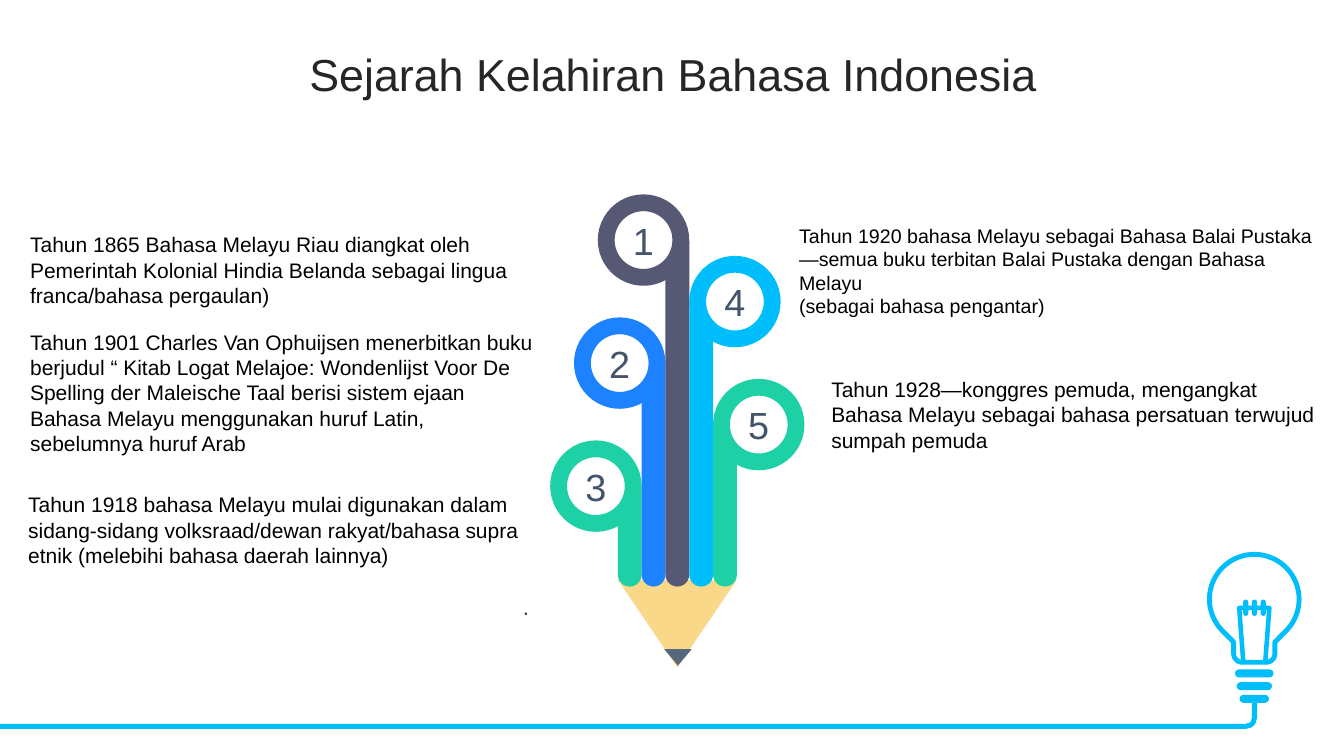
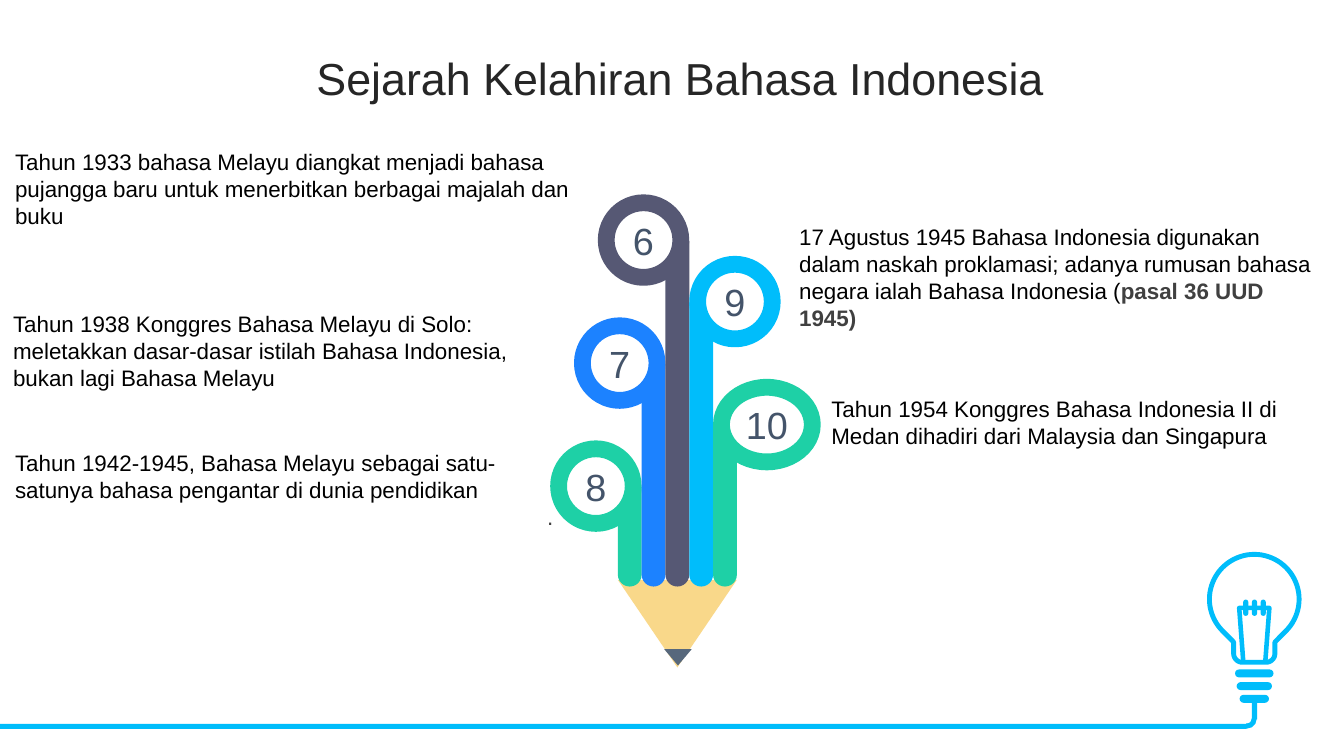
from math import cos, radians, sin

from lxml.etree import SubElement
from pptx import Presentation
from pptx.dml.color import RGBColor
from pptx.enum.shapes import MSO_SHAPE
from pptx.enum.text import MSO_ANCHOR, PP_ALIGN
from pptx.oxml.ns import qn
from pptx.util import Cm, Pt

COLORS = {
    "white": "FFFFFF", "black": "000000", "title": "262626", "soft": "404040",
    "number": "44546A", "cyan": "00BDFB", "blue": "1C82FF", "green": "1ED0A6",
    "slate": "565874", "wood": "F5B317", "lead": "57687C",
}
TITLE = {"size": 32, "color": "title"}
NUMBER = {"size": 27, "color": "number"}
DOT = {"size": 16, "color": "soft"}

# Pencil strips from left to right: color, top, side of the ring, order of the number
STRIPS = [
    ("green", 12.27, "left", 3), ("blue", 9.17, "left", 2), ("slate", 6.07, "left", 1),
    ("cyan", 7.62, "right", 4), ("green", 10.72, "right", 5),
]
STRIP_LEFT, STRIP_WIDTH, STRIP_BOTTOM = 15.57, 0.6, 14.78
RING_SIZE, RING_STROKE = 1.88, 12
BULB_X, BULB_Y, BULB_RADIUS = 31.61, 15.1, 1.13


def arc(center_x, center_y, radius, start, end, steps=30):
    """Points along a circle, with angles in degrees running clockwise."""
    angles = [radians(start + (end - start) * step / steps) for step in range(steps + 1)]
    return [(center_x + radius * cos(a), center_y + radius * sin(a)) for a in angles]


class SlideMaker:
    def __init__(self):
        self.deck = Presentation()
        self.deck.slide_width, self.deck.slide_height = Cm(33.87), Cm(19.05)
        self.page = None

    def new_page(self, title, left, top):
        self.page = self.deck.slides.add_slide(self.deck.slide_layouts[6])
        self.bulb()
        box = self.text((left, top, 32.16, 2.84), [[(title, {})]], TITLE, PP_ALIGN.CENTER)
        box.text_frame.vertical_anchor = MSO_ANCHOR.MIDDLE
        box.text_frame.paragraphs[0].line_spacing = 0.9

    def paint(self, shape, fill=None, line=None, width=1):
        shape.shadow.inherit = False
        for part, color in ((shape.fill, fill), (shape.line.fill, line)):
            if color:
                part.solid()
                part.fore_color.rgb = RGBColor.from_string(COLORS[color])
            else:
                part.background()
        if line:
            shape.line.width = Pt(width)
        return shape

    def shape(self, kind, place, fill, line=None, width=1, rotation=0, adjust=()):
        shape = self.page.shapes.add_shape(kind, *map(Cm, place))
        shape.rotation = rotation
        for index, value in enumerate(adjust):
            shape.adjustments[index] = value
        return self.paint(shape, fill, line, width)

    def outline(self, points, fill=None, width=3.5, close=True):
        points = [(Cm(x), Cm(y)) for x, y in points]
        builder = self.page.shapes.build_freeform(*points[0])
        builder.add_line_segments(points[1:], close=close)
        return self.paint(builder.convert_to_shape(), fill, "cyan", width)

    def add_spans(self, para, spans, style, align):
        para.alignment = align
        for words, changes in spans:
            span = para.add_run()
            span.text = words
            formats = {"name": "Arial", "bold": False, **style, **changes}
            span.font.color.rgb = RGBColor.from_string(COLORS[formats.pop("color")])
            formats["size"] = Pt(formats["size"])
            for name, value in formats.items():
                setattr(span.font, name, value)

    def text(self, place, paragraphs, style, align=PP_ALIGN.LEFT):
        box = self.page.shapes.add_textbox(*map(Cm, place))
        frame = box.text_frame
        frame.word_wrap = True
        for index, spans in enumerate(paragraphs):
            para = frame.add_paragraph() if index else frame.paragraphs[0]
            self.add_spans(para, spans, style, align)
        return box

    def dot(self, box, gap=0):
        para = box.text_frame.add_paragraph()
        para.space_before = Pt(gap)
        self.add_spans(para, [(". ", {})], DOT, PP_ALIGN.RIGHT)

    def bulb(self):
        # Glass: the right half, then its mirror
        right = arc(BULB_X, BULB_Y, BULB_RADIUS, -90, 45)
        right += [(32.13, 16.18)] + arc(31.91, 16.47, 0.22, 0, 90, 8)
        left = [(2 * BULB_X - x, y) for x, y in reversed(right)]
        self.outline(right + left, "white")
        # Screw threads
        for index, width in enumerate((0.97, 0.89, 0.74)):
            place = (BULB_X - width / 2, 16.87 + 0.32 * index, width, 0.2)
            self.shape(MSO_SHAPE.ROUNDED_RECTANGLE, place, "cyan", adjust=[0.5])
        # Filament
        self.outline([(31.33, 16.64), (31.23, 15.32), (31.99, 15.32), (31.89, 16.64)],
                     width=3.25, close=False)
        for offset in (-0.22, 0, 0.22):
            place = (BULB_X + offset - 0.06, 15.11, 0.13, 0.41)
            self.shape(MSO_SHAPE.ROUNDED_RECTANGLE, place, "cyan", adjust=[0.5])
        # Cable
        self.shape(MSO_SHAPE.RECTANGLE, (0, 18.24, 31.42, 0.13), "cyan")
        self.shape(MSO_SHAPE.RECTANGLE, (31.55, 17.7, 0.13, 0.43), "cyan")
        self.shape(MSO_SHAPE.BLOCK_ARC, (31.19, 17.88, 0.48, 0.48), "cyan",
                   adjust=[213.39, 60.92, 0.27])

    def pencil(self, first, last_width=RING_SIZE):
        # Sharpened end
        wood = self.shape(MSO_SHAPE.TRAPEZOID, (STRIP_LEFT, 14.61, 3, 2.21), "wood",
                          rotation=180, adjust=[0.79])
        color = wood.element.spPr.find(".//" + qn("a:srgbClr"))
        SubElement(color, qn("a:alpha")).set("val", "50000")
        self.shape(MSO_SHAPE.ISOSCELES_TRIANGLE, (16.74, 16.36, 0.69, 0.41), "lead", rotation=180)
        # Strips with numbered rings
        for index, (color, top, side, order) in enumerate(STRIPS):
            left = STRIP_LEFT + index * STRIP_WIDTH
            self.shape(MSO_SHAPE.ROUND_2_SAME_RECTANGLE,
                       (left, top, STRIP_WIDTH, STRIP_BOTTOM - top), color,
                       rotation=180, adjust=[0.5, 0])
            width = last_width if order == len(STRIPS) else RING_SIZE
            inset = Pt(RING_STROKE / 2).cm
            ring_left = left + inset if side == "right" else left + STRIP_WIDTH - inset - width
            ring = self.shape(MSO_SHAPE.OVAL, (ring_left, top - 0.96, width, RING_SIZE),
                              "white", color, RING_STROKE)
            frame = ring.text_frame
            for name in ("margin_left", "margin_right", "margin_top", "margin_bottom"):
                setattr(frame, name, 0)
            frame.word_wrap = False
            frame.vertical_anchor = MSO_ANCHOR.MIDDLE
            self.add_spans(frame.paragraphs[0], [(str(first + order - 1), {})],
                           NUMBER, PP_ALIGN.CENTER)

    def note(self, place, size, *paragraphs):
        return self.text(place, [[(words, {})] for words in paragraphs],
                         {"size": size, "color": "black"})


def main():
    maker = SlideMaker()
    heading = "Sejarah Kelahiran Bahasa Indonesia"

    # Slide 1: 1865 to 1928
    maker.new_page(heading, 0.89, 0.53)
    maker.pencil(1)
    maker.note((19.89, 5.51, 13.54, 2.64), 14,
               "Tahun 1920 bahasa Melayu sebagai Bahasa Balai Pustaka—semua buku terbitan "
               "Balai Pustaka dengan Bahasa Melayu",
               "(sebagai bahasa pengantar)")
    maker.note((20.7, 9.37, 12.9, 2.18), 15,
               "Tahun 1928—konggres pemuda, mengangkat Bahasa Melayu sebagai bahasa "
               "persatuan terwujud sumpah pemuda")
    maker.note((0.51, 5.72, 13.84, 2.18), 15,
               "Tahun 1865 Bahasa Melayu Riau diangkat oleh Pemerintah Kolonial Hindia "
               "Belanda sebagai lingua franca/bahasa pergaulan)")
    maker.note((0.51, 8.18, 13.23, 3.45), 15,
               "Tahun 1901 Charles Van Ophuijsen menerbitkan buku berjudul “ Kitab Logat "
               "Melajoe: Wondenlijst Voor De Spelling der Maleische Taal berisi sistem ejaan "
               "Bahasa Melayu menggunakan huruf Latin, sebelumnya huruf Arab")
    box = maker.note((0.46, 12.27, 13.28, 3.56), 15,
                     "Tahun 1918 bahasa Melayu mulai digunakan dalam sidang-sidang "
                     "volksraad/dewan rakyat/bahasa supra etnik (melebihi bahasa daerah lainnya)")
    maker.dot(box, gap=18)

    # Slide 2: 1933 to 1954
    maker.new_page(heading, 1.07, 0.63)
    maker.pencil(6, last_width=2.29)
    maker.text((19.89, 5.51, 13.54, 3), [[
        ("17 Agustus 1945 Bahasa Indonesia digunakan dalam naskah proklamasi; adanya "
         "rumusan bahasa negara ialah Bahasa Indonesia (", {}),
        ("pasal 36 UUD 1945)", {"color": "soft", "bold": True}),
    ]], {"size": 16, "color": "black"})
    maker.note((20.7, 9.83, 13.16, 1.63), 16,
               "Tahun 1954 Konggres Bahasa Indonesia II di Medan dihadiri dari Malaysia "
               "dan Singapura")
    maker.note((0.13, 3.61, 15.54, 2.31), 16,
               "Tahun 1933 bahasa Melayu diangkat menjadi bahasa pujangga baru untuk "
               "menerbitkan berbagai majalah dan buku")
    maker.note((0.08, 7.7, 14.27, 2.31), 16,
               "Tahun 1938 Konggres Bahasa Melayu di Solo: meletakkan dasar-dasar istilah "
               "Bahasa Indonesia, bukan lagi Bahasa Melayu")
    box = maker.note((0.13, 11.2, 14.22, 2.31), 16,
                     "Tahun 1942-1945, Bahasa Melayu sebagai satu-satunya bahasa pengantar "
                     "di dunia pendidikan")
    maker.dot(box)

    maker.deck.save("out.pptx")


if __name__ == "__main__":
    main()
